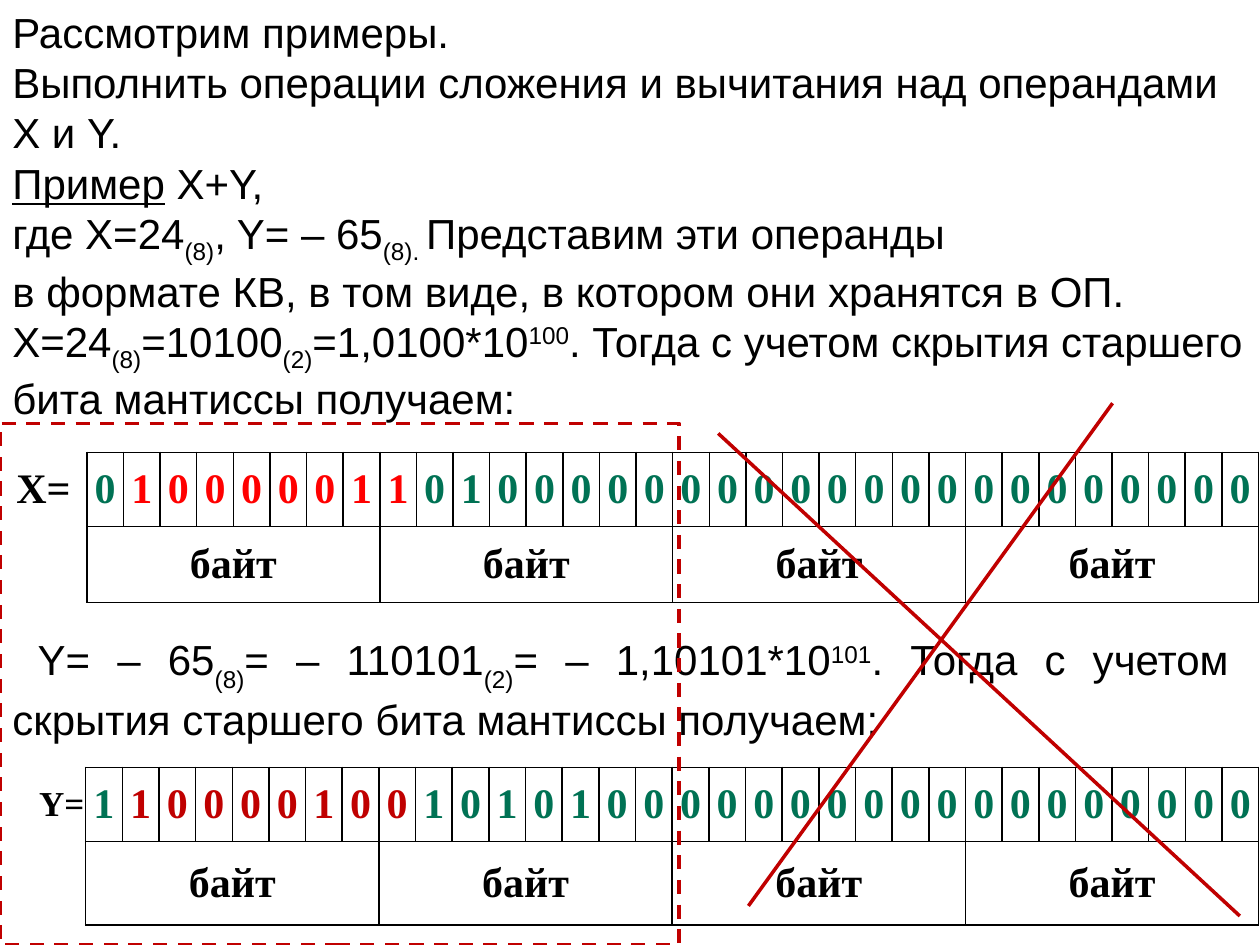
from dataclasses import dataclass

from lxml.etree import SubElement
from pptx import Presentation
from pptx.dml.color import RGBColor
from pptx.enum.dml import MSO_LINE_DASH_STYLE as DASH
from pptx.enum.shapes import MSO_CONNECTOR, MSO_SHAPE
from pptx.enum.text import MSO_ANCHOR as ANCHOR, MSO_AUTO_SIZE as AUTO, PP_ALIGN as ALIGN
from pptx.oxml.ns import qn
from pptx.util import Inches, Pt


@dataclass(frozen=True)
class Theme:
    black: str = "000000"
    green: str = "007254"
    red: str = "FF0000"
    dark_red: str = "C00000"
    body_font: str = "Arial"
    table_font: str = "Times New Roman"
    size: int = 24
    small: int = 20
    border: int = 1
    mark: int = 2


THEME = Theme()
BITS, BYTE = 32, 8
EXPONENT = range(1, 9)
SUB, DEEP_SUB, SUP = -25, -30, 30

INTRO = [
    ["Рассмотрим примеры."],
    ["Выполнить операции сложения и вычитания над операндами X и Y."],
    [("Пример", {"underline": True}), " X+Y,"],
    ["где X=24", ("(8)", SUB), ", Y= – 65", ("(8). ", SUB), "Представим эти операнды ", "\n",
     "в формате КВ, в том виде, в котором они хранятся в ОП."],
    ["X=24", ("(8)", SUB), "=10100", ("(2)", SUB), "=1,0100*10", ("100", SUP),
     ". Тогда с учетом скрытия старшего бита мантиссы получаем:"],
]
Y_TEXT = [
    ["Y= – 65", ("(8)", DEEP_SUB), "= – 110101", ("(2)", DEEP_SUB), "= – 1,10101*10", ("101", SUP),
     ". Тогда с учетом скрытия старшего бита мантиссы получаем:"],
]
X_BITS = "0100000110100000" + "0" * 16
Y_BITS = "1100001001010100" + "0" * 16


def add_run(p, text, font, size=THEME.size, color=THEME.black, **formats):
    r = p.add_run()
    r.text = text
    formats = {"name": font, "size": Pt(size), **formats}
    for name, value in formats.items():
        setattr(r.font, name, value)
    r.font.color.rgb = RGBColor.from_string(color)
    return r


def add_text(s, box, paragraphs, anchor=ANCHOR.TOP, align=None, indent=0):
    """Each piece is plain text, a line break, or text with a baseline shift or font formats."""
    tf = s.shapes.add_textbox(*map(Inches, box)).text_frame
    formats = {"word_wrap": True, "auto_size": AUTO.SHAPE_TO_FIT_TEXT, "vertical_anchor": anchor}
    for name, value in formats.items():
        setattr(tf, name, value)
    for i, pieces in enumerate(paragraphs):
        p = tf.add_paragraph() if i else tf.paragraphs[0]
        p.alignment = align
        if indent:
            pPr = p._p.get_or_add_pPr()
            pPr.set("marL", "0")
            pPr.set("indent", str(Inches(indent)))
        for piece in pieces:
            if piece == "\n":
                p.add_line_break()
                continue
            text, style = piece if isinstance(piece, tuple) else (piece, {})
            if isinstance(style, dict):
                add_run(p, text, THEME.body_font, **style)
            else:
                r = add_run(p, text, THEME.body_font)
                r.font._element.set("baseline", str(style * 1000))


def set_borders(cell, sides):
    """Draw the named sides of the cell and clear the others."""
    tcPr = cell._tc.get_or_add_tcPr()
    for side in "LRTB":
        ln = SubElement(tcPr, qn(f"a:ln{side}"), w=str(Pt(THEME.border)))
        if side in sides:
            fill = SubElement(ln, qn("a:solidFill"))
            SubElement(fill, qn("a:srgbClr"), val=THEME.black)
        else:
            SubElement(ln, qn("a:noFill"))


def fill_cell(cell, text, align=ALIGN.CENTER, **formats):
    p = cell.text_frame.paragraphs[0]
    p.alignment = align
    p.space_after = Pt(3)
    add_run(p, text, THEME.table_font, bold=True, **formats)


def add_bit_table(s, box, label_width, heights, label, label_formats, bits, exponent_color):
    table = s.shapes.add_table(2, BITS + 1, *map(Inches, box)).table
    table.first_row = table.horz_banding = False
    bit_width = (box[2] - label_width) / BITS
    for i, column in enumerate(table.columns):
        column.width = Inches(bit_width if i else label_width)
    for row, height in zip(table.rows, heights):
        row.height = Inches(height)
        for i, cell in enumerate(row.cells):
            for side in ("left", "right", "top", "bottom"):
                setattr(cell, f"margin_{side}", 0)
            cell.vertical_anchor = ANCHOR.MIDDLE
            set_borders(cell, "LRTB" if i else "R")
            cell.fill.background()
    fill_cell(table.cell(0, 0), label, **label_formats)
    for i, bit in enumerate(bits):
        color = exponent_color if i in EXPONENT else THEME.green
        fill_cell(table.cell(0, i + 1), bit, color=color)
    for start in range(1, BITS + 1, BYTE):
        cell = table.cell(1, start)
        cell.merge(table.cell(1, start + BYTE - 1))
        fill_cell(cell, "байт")


def style_line(line):
    line.color.rgb = RGBColor.from_string(THEME.dark_red)
    line.width = Pt(THEME.mark)


def add_dashed_frame(s, box):
    sp = s.shapes.add_shape(MSO_SHAPE.RECTANGLE, *map(Inches, box))
    sp.shadow.inherit = False
    sp.fill.background()
    style_line(sp.line)
    sp.line.dash_style = DASH.DASH


def add_strike(s, *ends):
    line = s.shapes.add_connector(MSO_CONNECTOR.STRAIGHT, *map(Inches, ends))
    style_line(line.line)
    SubElement(line._element.spPr, qn("a:effectLst"))


def main():
    prs = Presentation()
    prs.slide_width, prs.slide_height = Inches(10), Inches(7.5)
    s = prs.slides.add_slide(prs.slide_layouts[6])

    add_text(s, (0, 0, 10, 3.33), INTRO)
    add_bit_table(s, (0, 3.59, 10, 1.19), 0.69, (0.59, 0.6),
                  "X=", {}, X_BITS, THEME.red)
    add_text(s, (0, 5.01, 9.85, 0.91), Y_TEXT, ANCHOR.MIDDLE, ALIGN.JUSTIFY, 0.2)
    add_bit_table(s, (0.31, 6.09, 9.69, 1.25), 0.37, (0.59, 0.66),
                  "Y=", {"size": THEME.small, "align": ALIGN.LEFT}, Y_BITS, THEME.dark_red)
    add_dashed_frame(s, (0, 3.36, 5.39, 4.14))
    add_strike(s, 5.7, 3.44, 9.84, 7.27)
    add_strike(s, 8.83, 3.2, 5.94, 7.19)

    prs.save("out.pptx")


if __name__ == "__main__":
    main()
